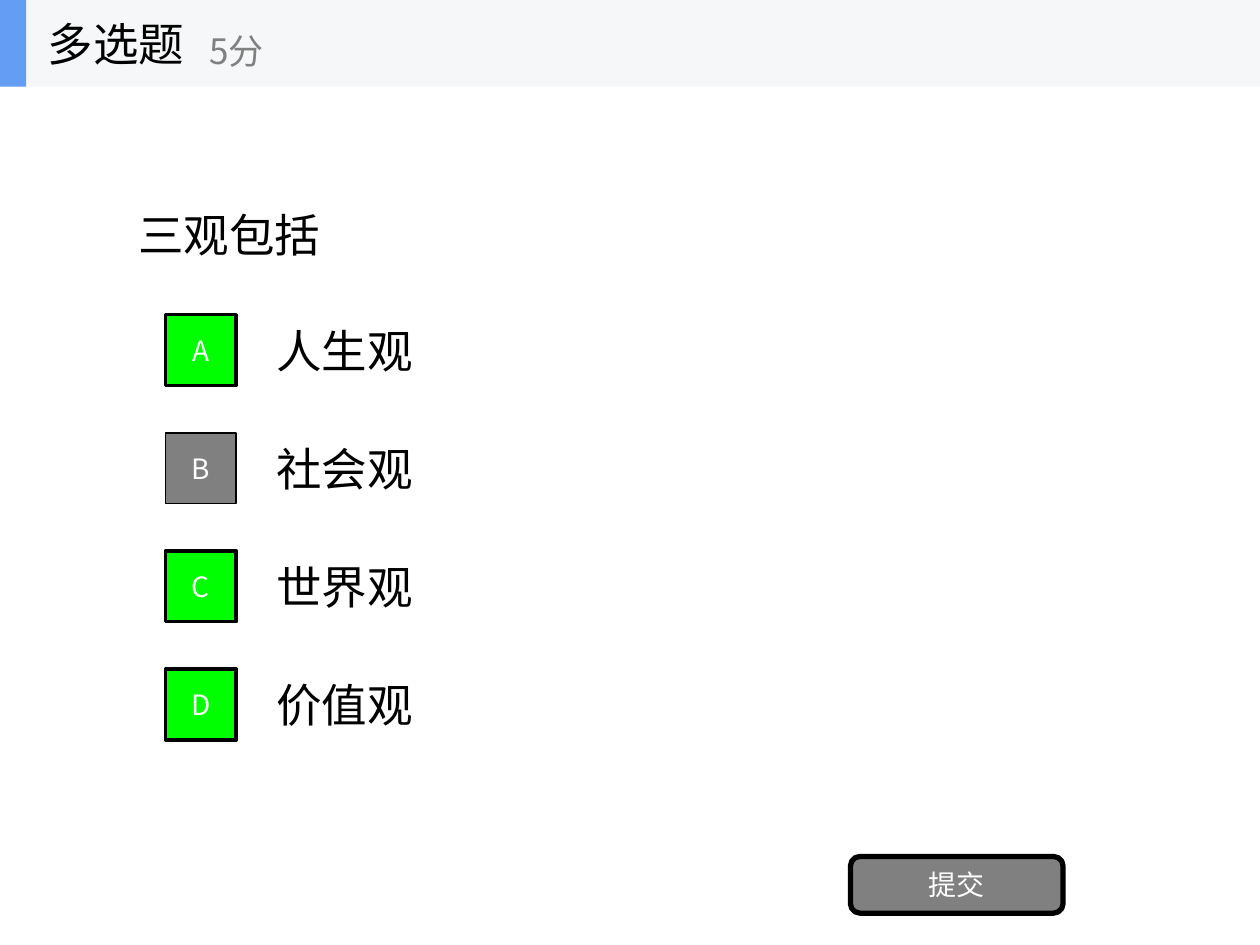
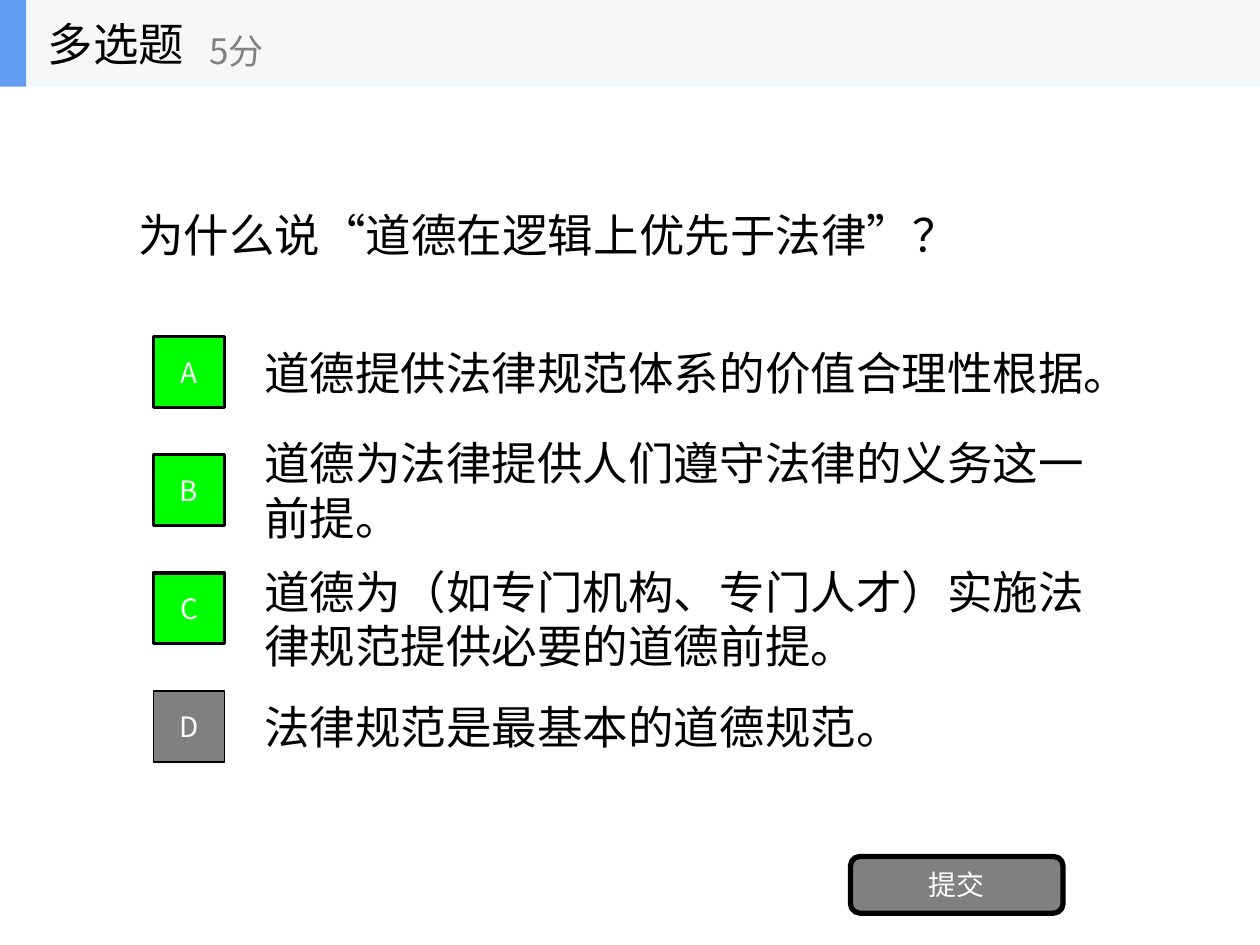
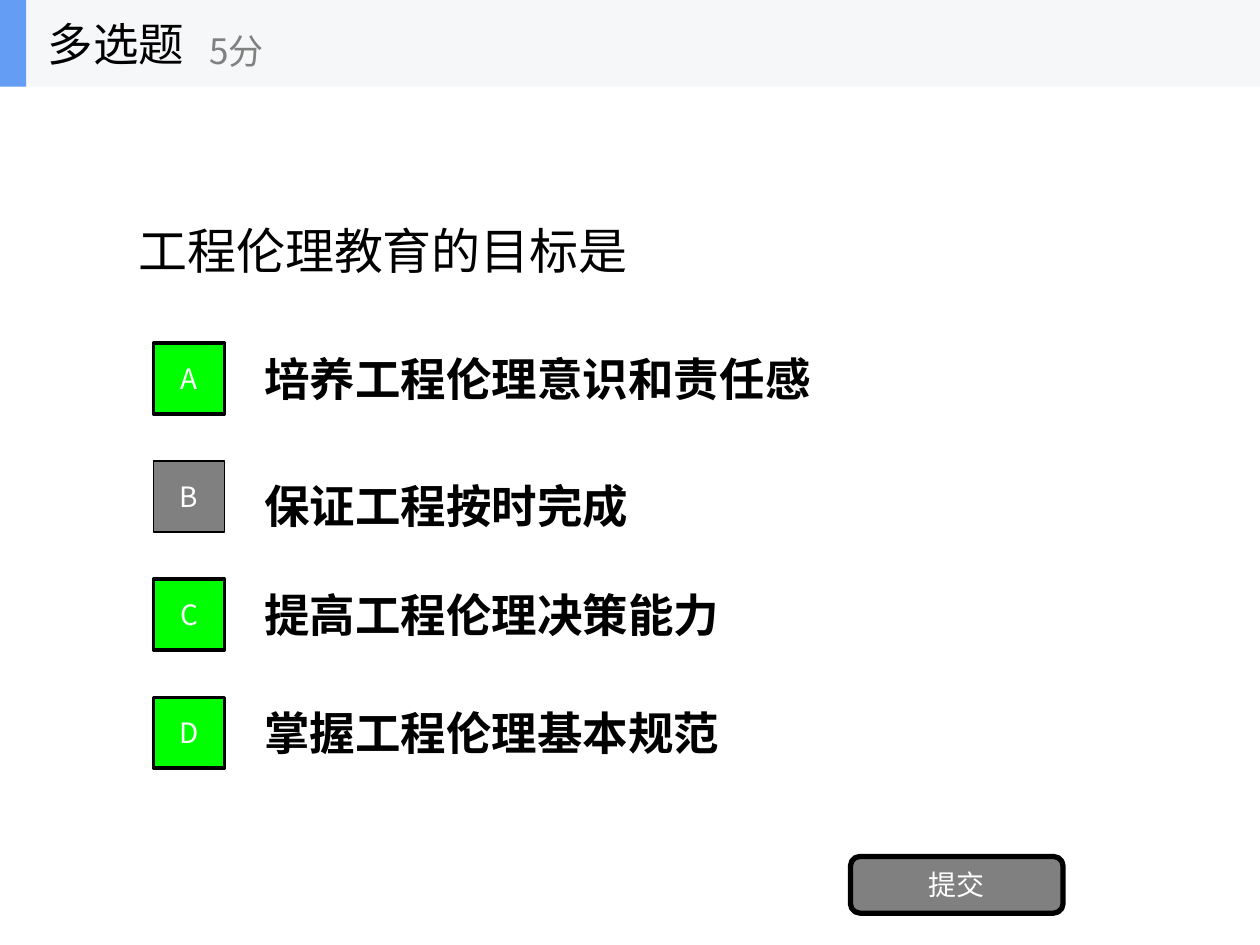
import pptx
import pptx.util
import pptx.dml.color
import pptx.enum.shapes
import pptx.enum.text
import lxml.etree

Pt = pptx.util.Pt
RGBColor = pptx.dml.color.RGBColor
Preset = pptx.enum.shapes.MSO_SHAPE
Align = pptx.enum.text.PP_ALIGN

BLACK = RGBColor(0x00, 0x00, 0x00)
WHITE = RGBColor(0xFF, 0xFF, 0xFF)
GRAY = RGBColor(0x80, 0x80, 0x80)
CORRECT = RGBColor(0x00, 0xFF, 0x00)
BAND = RGBColor(0xF6, 0xF7, 0xF8)
ACCENT = RGBColor(0x63, 0x9E, 0xF4)

FONT = "Noto Sans CJK SC"
WIDTH, HEIGHT = 720, 540
BAND_HEIGHT = 49.5
BADGE_SIZE = 40.5
OPTION_PITCH = 67.5
OPTION_OFFSET = 56.25
OPTION_RISE = 5
OPTION_HEIGHT = 50.4

QUESTIONS = [
    dict(
        stem="三观包括",
        left=94.5,
        top=179.8,
        options=[
            ("人生观", True, {}),
            ("社会观", False, {}),
            ("世界观", True, {}),
            ("价值观", True, {}),
        ],
    ),
    dict(
        stem="为什么说“道德在逻辑上优先于法律”？",
        left=87.75,
        top=192.3,
        options=[
            ("道德提供法律规范体系的价值合理性根据。", True, {}),
            ("道德为法律提供人们遵守法律的义务这一前提。", True, {}),
            ("道德为（如专门机构、专门人才）实施法律规范提供必要的道德前提。", True, dict(height=62)),
            ("法律规范是最基本的道德规范。", False, {}),
        ],
    ),
    dict(
        stem="工程伦理教育的目标是",
        stem_box=(72, 78.5, 576, 128.9),
        stem_size=28,
        left=87.75,
        top=196,
        bold=True,
        options=[
            ("培养工程伦理意识和责任感", True, {}),
            ("保证工程按时完成", False, dict(shift=5)),
            ("提高工程伦理决策能力", True, {}),
            ("掌握工程伦理基本规范", True, {}),
        ],
    ),
]


def write(frame, text, size=26, color=BLACK, bold=False, align=Align.LEFT, wrap=True):
    frame.word_wrap = wrap
    frame.vertical_anchor = pptx.enum.text.MSO_ANCHOR.MIDDLE
    paragraph = frame.paragraphs[0]
    paragraph.alignment = align
    run = paragraph.add_run()
    run.text = text
    run.font.name = FONT
    run.font.size = Pt(size)
    run.font.bold = bold
    run.font.color.rgb = color
    east_asian = lxml.etree.SubElement(run.font._element, pptx.oxml.ns.qn("a:ea"))
    east_asian.set("typeface", FONT)


class Quiz:
    def __init__(self):
        self.deck = pptx.Presentation()
        self.deck.slide_width = Pt(WIDTH)
        self.deck.slide_height = Pt(HEIGHT)
        self.shapes = None

    def new_slide(self):
        self.shapes = self.deck.slides.add_slide(self.deck.slide_layouts[6]).shapes

    def text(self, box, text, **style):
        label = self.shapes.add_textbox(*map(Pt, box))
        write(label.text_frame, text, **style)

    def block(self, box, fill, preset=Preset.RECTANGLE, border=0, text=None):
        block = self.shapes.add_shape(preset, *map(Pt, box))
        block.shadow.inherit = False
        block.fill.solid()
        block.fill.fore_color.rgb = fill
        if border:
            block.line.color.rgb = BLACK
            block.line.width = Pt(border)
        else:
            block.line.fill.background()
        if text:
            write(block.text_frame, text, size=16, color=WHITE, align=Align.CENTER)

    def option(self, letter, text, correct, left, top, bold, height=OPTION_HEIGHT, shift=0):
        self.text((left + OPTION_OFFSET, top - OPTION_RISE + shift, 504, height), text, bold=bold)
        self.block(
            (left, top, BADGE_SIZE, BADGE_SIZE),
            CORRECT if correct else GRAY,
            border=2 if correct else 1,
            text=letter,
        )

    def submit_button(self):
        self.block((486, 489.4, 121.5, 32.4), GRAY, Preset.ROUNDED_RECTANGLE, border=3, text="提交")

    def header(self):
        slide_shapes = self.shapes
        self.shapes = slide_shapes.add_group_shape().shapes
        self.block((0, 0, WIDTH, BAND_HEIGHT), BAND)
        self.block((0, 0, 15, BAND_HEIGHT), ACCENT)
        self.text((20.25, 0, 150, BAND_HEIGHT), "多选题", wrap=False)
        self.text((112.5, 8.8, 180, 40.5), "5分", size=20, color=GRAY, wrap=False)
        self.shapes = slide_shapes

    def question(self, stem, left, top, options, stem_box=(72, 49.5, 576, 168.75), stem_size=26, bold=False):
        self.new_slide()
        self.text(stem_box, stem, size=stem_size)
        for row, (letter, (text, correct, layout)) in enumerate(zip("ABCD", options)):
            self.option(letter, text, correct, left, top + row * OPTION_PITCH, bold, **layout)
        self.submit_button()
        self.header()


def main():
    quiz = Quiz()
    for question in QUESTIONS:
        quiz.question(**question)
    quiz.deck.save("out.pptx")


if __name__ == "__main__":
    main()
